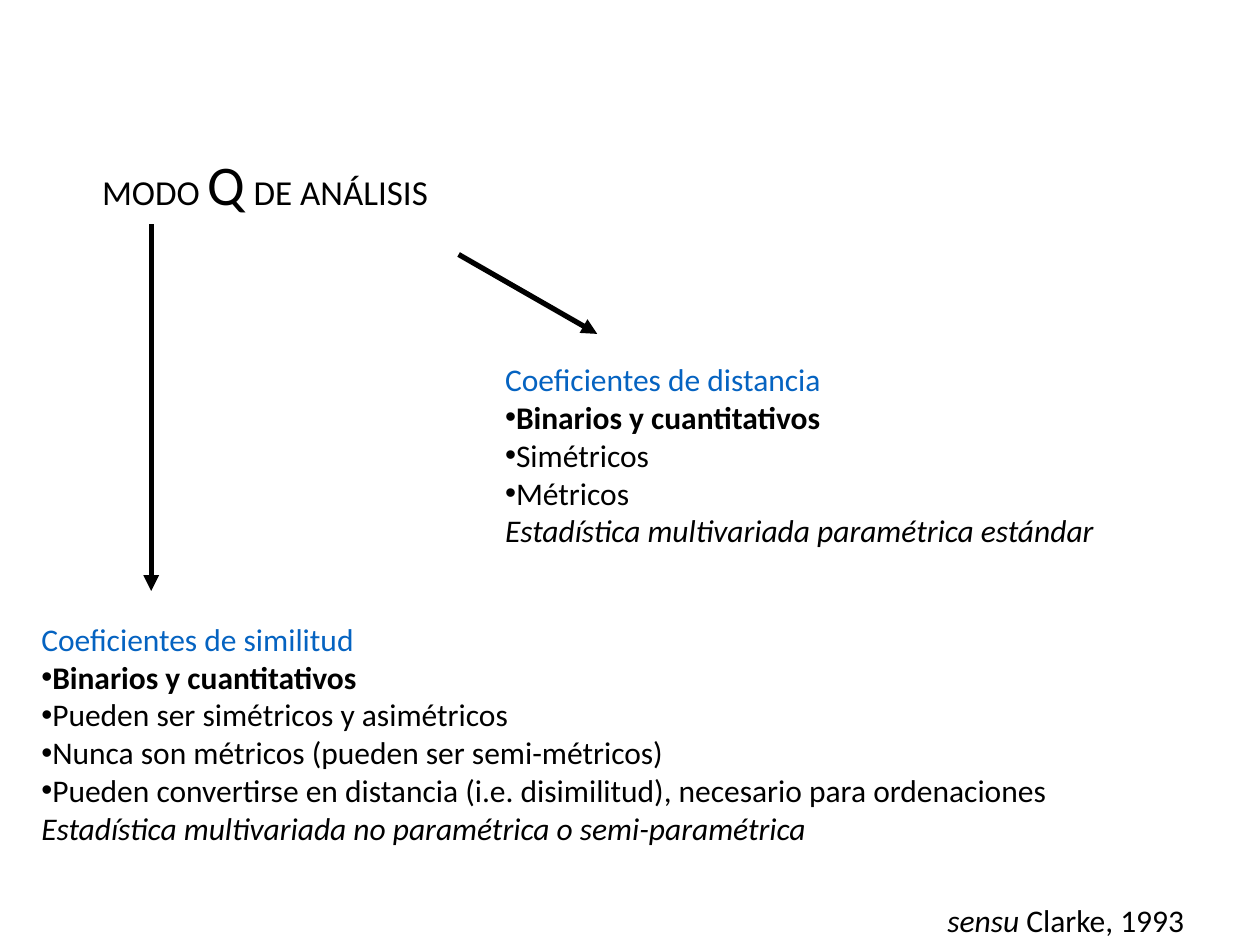
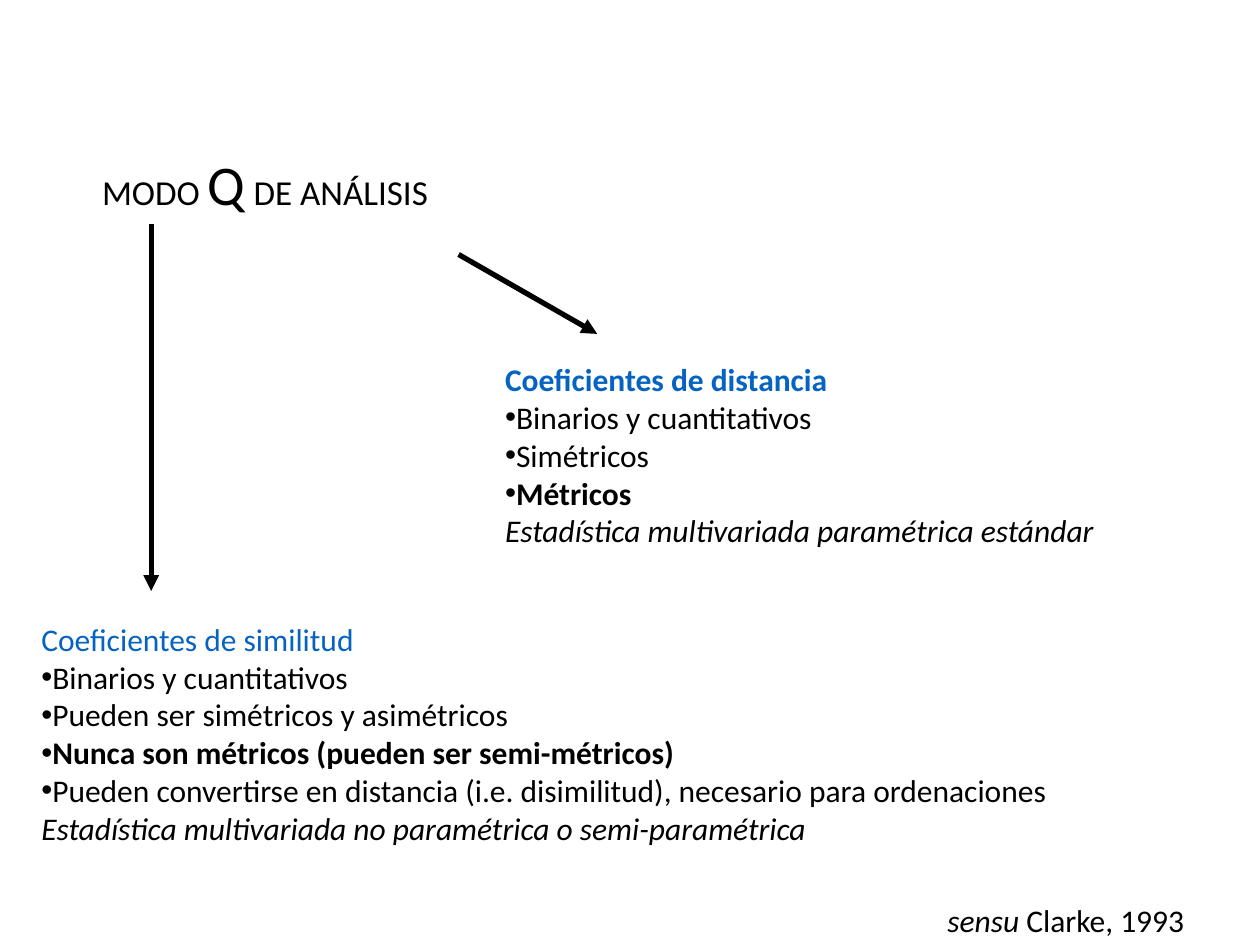
from lxml.etree import SubElement
from pptx import Presentation
from pptx.dml.color import RGBColor
from pptx.enum.shapes import MSO_CONNECTOR
from pptx.enum.text import MSO_ANCHOR, MSO_AUTO_SIZE, PP_ALIGN
from pptx.oxml.ns import qn
from pptx.util import Emu, Pt

PX = 9144
SLIDE_SIZE = (1000, 750)
FONT = "Calibri"
COLORS = {"text": "000000", "heading": "0563C1", "background": "FFFFFF"}

TITLE_BOX = (71, 114, 328, 63)
DISTANCE_BOX = (391, 281, 609, 162)
SIMILARITY_BOX = (23, 487, 977, 192)
CITATION_BOX = (742, 710, 258, 40)
ARROWS = [((364, 202), (474, 265)), ((120, 178), (120, 469))]

DISTANCE = (
    "Coeficientes de distancia",
    ["Binarios y cuantitativos", "Simétricos", "Métricos"],
    "Estadística multivariada paramétrica estándar",
)
SIMILARITY = (
    "Coeficientes de similitud",
    [
        "Binarios y cuantitativos",
        "Pueden ser simétricos y asimétricos",
        "Nunca son métricos (pueden ser semi-métricos)",
        "Pueden convertirse en distancia (i.e. disimilitud), necesario para ordenaciones",
    ],
    "Estadística multivariada no paramétrica o semi-paramétrica",
)
EMPHASIS_BY_SLIDE = [
    {"Binarios y cuantitativos"},
    {
        "Coeficientes de distancia",
        "Métricos",
        "Nunca son métricos (pueden ser semi-métricos)",
    },
]


def px(*lengths):
    """Turn px lengths into EMU."""
    return [Emu(length * PX) for length in lengths]


def rgb(name):
    """Look up a named colour."""
    return RGBColor.from_string(COLORS[name])


def add_run(paragraph, text, size=18, color="text", bold=False, italic=False):
    """Append formatted text to a paragraph."""
    run = paragraph.add_run()
    run.text = text
    run.font.name = FONT
    run.font.size = Pt(size)
    run.font.color.rgb = rgb(color)
    run.font.bold = bold
    run.font.italic = italic


def add_bullet(paragraph):
    """Give a paragraph a round bullet without indent."""
    properties = paragraph._p.get_or_add_pPr()
    SubElement(properties, qn("a:buFont"), typeface="Arial")
    SubElement(properties, qn("a:buChar"), char="•")


def add_text_frame(slide, box):
    """Add a wrapping text box that fits its text."""
    frame = slide.shapes.add_textbox(*px(*box)).text_frame
    frame.word_wrap = True
    frame.auto_size = MSO_AUTO_SIZE.SHAPE_TO_FIT_TEXT
    return frame


def place_title(slide, box):
    """Move the title and set its enlarged letter."""
    title = slide.shapes.title
    title.left, title.top, title.width, title.height = px(*box)
    frame = title.text_frame
    frame.word_wrap = False
    frame.auto_size = MSO_AUTO_SIZE.SHAPE_TO_FIT_TEXT
    frame.vertical_anchor = MSO_ANCHOR.TOP
    heading = frame.paragraphs[0]
    heading.alignment = PP_ALIGN.LEFT
    for text, size in [("MODO ", 20), ("Q", 32), (" DE ANÁLISIS", 20)]:
        add_run(heading, text, size=size)


def add_arrow(slide, start, end):
    """Draw a black arrow between two points."""
    arrow = slide.shapes.add_connector(MSO_CONNECTOR.STRAIGHT, *px(*start, *end))
    arrow.line.color.rgb = rgb("text")
    arrow.line.width = Pt(3)
    properties = arrow._element.spPr
    SubElement(properties.get_or_add_ln(), qn("a:tailEnd"), type="triangle")
    SubElement(properties, qn("a:effectLst"))


def add_coefficients(slide, box, content, emphasis):
    """Write a heading, its bulleted properties and the related statistics."""
    heading, traits, statistics = content
    frame = add_text_frame(slide, box)
    add_run(frame.paragraphs[0], heading, color="heading", bold=heading in emphasis)
    for trait in traits:
        paragraph = frame.add_paragraph()
        add_bullet(paragraph)
        add_run(paragraph, trait, bold=trait in emphasis)
    add_run(frame.add_paragraph(), statistics, italic=True)


def add_citation(slide, box):
    """Write the source of the classification."""
    citation = add_text_frame(slide, box).paragraphs[0]
    add_run(citation, "sensu", italic=True)
    add_run(citation, " Clarke, 1993")


def add_analysis_slide(deck, emphasis):
    """Build the Q mode slide with the given lines in bold."""
    slide = deck.slides.add_slide(deck.slide_layouts[5])
    slide.background.fill.solid()
    slide.background.fill.fore_color.rgb = rgb("background")
    place_title(slide, TITLE_BOX)
    for start, end in ARROWS:
        add_arrow(slide, start, end)
    add_coefficients(slide, SIMILARITY_BOX, SIMILARITY, emphasis)
    add_coefficients(slide, DISTANCE_BOX, DISTANCE, emphasis)
    add_citation(slide, CITATION_BOX)


def main():
    """Build and save the deck."""
    deck = Presentation()
    deck.slide_width, deck.slide_height = px(*SLIDE_SIZE)
    for emphasis in EMPHASIS_BY_SLIDE:
        add_analysis_slide(deck, emphasis)
    deck.save("out.pptx")


if __name__ == "__main__":
    main()
